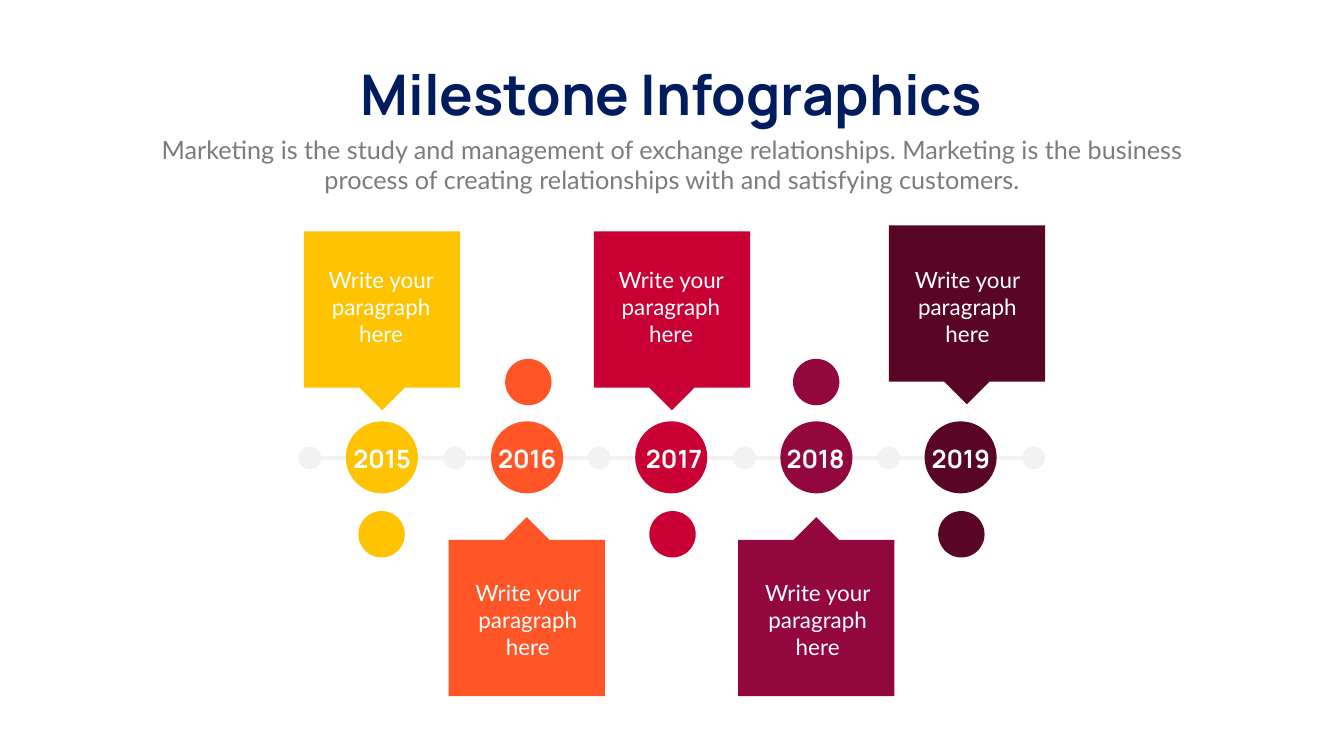
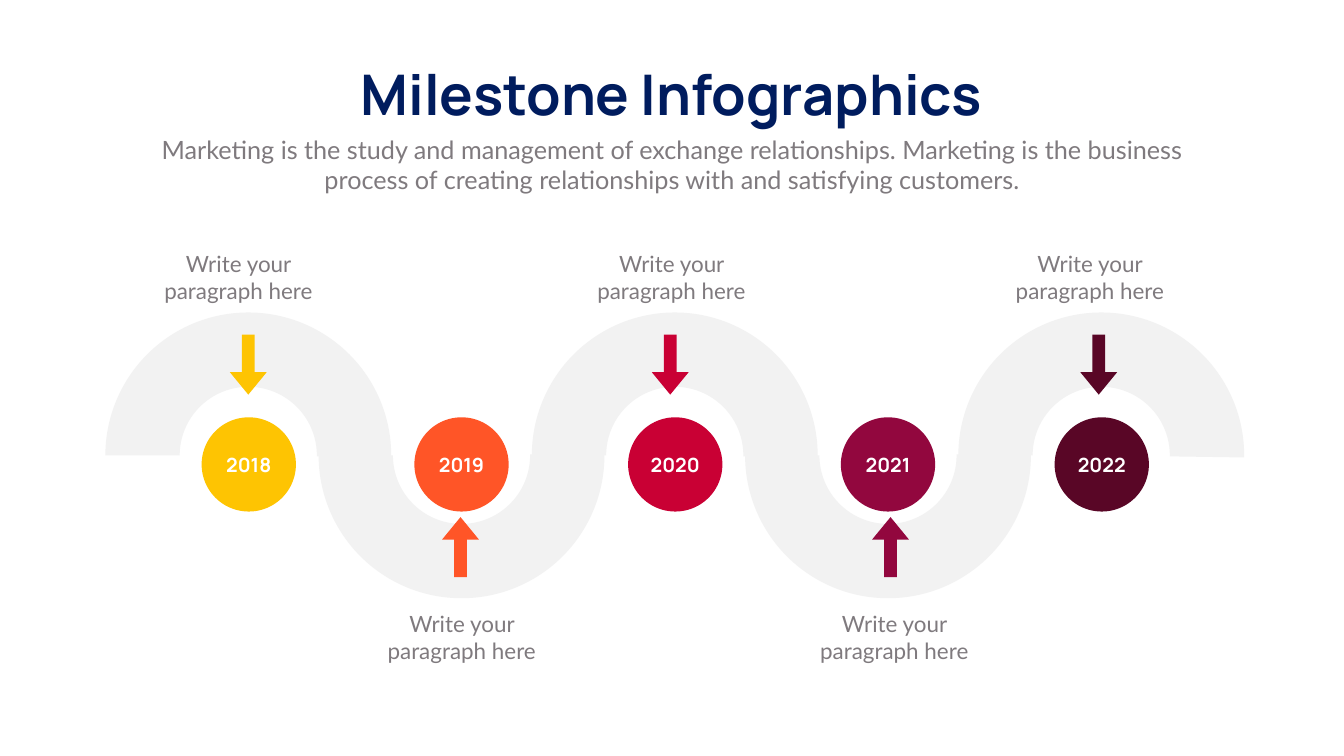
from dataclasses import dataclass

from pptx import Presentation
from pptx.dml.color import RGBColor
from pptx.enum.shapes import MSO_SHAPE
from pptx.enum.text import MSO_ANCHOR, MSO_AUTO_SIZE, PP_ALIGN
from pptx.util import Pt

PX = 9144
SLIDE_SIZE = (2666, 1500)


@dataclass(frozen=True)
class Theme:
    """Colours, fonts and type sizes shared by the slides."""
    navy: str = "001C5E"
    gray: str = "7F7A7E"
    track: str = "F2F2F2"
    white: str = "FFFFFF"
    milestones: tuple = ("FEC402", "FF5527", "C90034", "92073E", "590626")
    heading_font: str = "Manrope"
    body_font: str = "Lato"
    title_size: int = 80
    intro_size: int = 36
    year_size: int = 36
    badge_size: int = 28
    caption_size: int = 32


class Deck:
    """Holds the presentation, its style and the slide being built."""

    def __init__(self, theme):
        self.theme = theme
        self.presentation = Presentation()
        self.presentation.slide_width = SLIDE_SIZE[0] * PX
        self.presentation.slide_height = SLIDE_SIZE[1] * PX
        self.slide = None

    def new_slide(self, title, intro):
        """Add a slide with its heading and introduction."""
        theme = self.theme
        self.slide = self.presentation.slides.add_slide(self.presentation.slide_layouts[0])
        heading, summary = self.slide.placeholders
        self.place(heading, 661, 114, 1343, 145)
        self.set_text(heading, title, theme.heading_font, theme.title_size, theme.navy, bold=True, wrap=False)
        self.place(summary, 292, 261, 2082, 131)
        self.set_text(summary, intro, theme.body_font, theme.intro_size, theme.gray)

    def place(self, element, left, top, width, height):
        """Move and size an element in px."""
        element.left, element.top = left * PX, top * PX
        element.width, element.height = width * PX, height * PX

    def set_text(self, element, text, font, size, color, bold=False, wrap=True,
                 anchor=MSO_ANCHOR.TOP, fit=MSO_AUTO_SIZE.SHAPE_TO_FIT_TEXT):
        """Put one centred run of text in an element."""
        frame = element.text_frame
        frame.word_wrap = wrap
        frame.auto_size = fit
        frame.vertical_anchor = anchor
        paragraph = frame.paragraphs[0]
        paragraph.alignment = PP_ALIGN.CENTER
        paragraph.space_before = Pt(0)
        run = paragraph.add_run()
        run.text = text
        run.font.name = font
        run.font.size = Pt(size)
        run.font.bold = bold
        run.font.color.rgb = RGBColor.from_string(color)

    def paint(self, element, color):
        """Give an element a flat fill with no outline or shadow."""
        element.fill.solid()
        element.fill.fore_color.rgb = RGBColor.from_string(color)
        element.line.fill.background()
        element.shadow.inherit = False
        return element

    def preset(self, kind, left, top, width, height, color, adjustments=()):
        """Add a filled preset shape."""
        element = self.slide.shapes.add_shape(kind, left * PX, top * PX, width * PX, height * PX)
        for index, value in enumerate(adjustments):
            element.adjustments[index] = value
        return self.paint(element, color)

    def disc(self, center_x, center_y, diameter, color):
        """Add a filled circle around a centre."""
        left, top = round(center_x - diameter / 2), round(center_y - diameter / 2)
        return self.preset(MSO_SHAPE.OVAL, left, top, diameter, diameter, color)

    def badge(self, center_x, center_y, diameter, year, color):
        """Add a circle with a year inside."""
        theme = self.theme
        self.set_text(self.disc(center_x, center_y, diameter, color), year, theme.heading_font,
                      theme.badge_size, theme.white, bold=True,
                      anchor=MSO_ANCHOR.MIDDLE, fit=MSO_AUTO_SIZE.NONE)

    def callout(self, tip_x, tip_y, direction, color):
        """Add a square callout whose tip points down (1) or up (-1)."""
        half, side, notch = 155, 310, 45
        base = tip_y - direction * notch
        far = base - direction * side
        outline = self.slide.shapes.build_freeform(tip_x - half, far, scale=PX)
        outline.add_line_segments([
            (tip_x - half, base), (tip_x - notch, base), (tip_x, tip_y),
            (tip_x + notch, base), (tip_x + half, base), (tip_x + half, far)])
        self.paint(outline.convert_to_shape(), color)

    def arrow(self, left, top, points_down, color):
        """Add a short block arrow."""
        pointer = self.preset(MSO_SHAPE.UP_ARROW, left, top, 73, 119, color, (0.35, 0.61))
        pointer.rotation = 180 if points_down else 0

    def label(self, text, left, top, width, height, font, size, color, bold=False):
        """Add a wrapped, centred text box."""
        box = self.slide.shapes.add_textbox(left * PX, top * PX, width * PX, height * PX)
        self.set_text(box, text, font, size, color, bold)

    def caption(self, left, top, width, height, color):
        """Add the caption of a milestone."""
        self.label("Write your paragraph here", left, top, width, height,
                   self.theme.body_font, self.theme.caption_size, color)


def build_timeline(deck):
    """Draw five callouts along a straight track."""
    theme = deck.theme
    first_x, step, axis_y = 758, 287, 908
    tips = (758, 1045, 1333, 1619, 1918)
    satellites = (757, 1048, 1334, 1619, 1907)
    year_lefts = (653, 941, 1232, 1513, 1801)
    caption_lefts = (640, 931, 1215, 1506, 1803)

    deck.preset(MSO_SHAPE.RECTANGLE, 612, 905, 1438, 7, theme.track)
    for stop in range(6):
        deck.disc(615 + step * stop, axis_y, 45, theme.track)
    for index, color in enumerate(theme.milestones):
        above = index % 2 == 0
        tip_y = (802 if index == 4 else 814) if above else 1026
        deck.disc(first_x + step * index, axis_y, 143, color)
        deck.callout(tips[index], tip_y, 1 if above else -1, color)
        deck.disc(satellites[index], 1060 if above else 758, 92, color)
        deck.label(str(2015 + index), year_lefts[index], 874, 210, 71,
                   theme.heading_font, theme.year_size, theme.white, bold=True)
        deck.caption(caption_lefts[index], 523 if above else 1144, 232, 172, theme.white)


def build_wave(deck):
    """Draw five badges along a winding road."""
    theme = deck.theme
    step = 423
    crest, trough = (108, 0.51, 0.26), (215.49, 108, 0.26)
    caption_lefts = (297, 740, 1156, 1598, 1986)
    arrow_lefts = (456, 877, 1293, 1730, 2143)

    for index in range(len(theme.milestones)):
        deck.preset(MSO_SHAPE.BLOCK_ARC, 209 + step * index, 620, 567, 567,
                    theme.track, trough if index % 2 else crest)
    for index, color in enumerate(theme.milestones):
        above = index % 2 == 0
        deck.badge(493 + step * index, 921, 187, str(2018 + index), color)
        deck.caption(caption_lefts[index], 492 if above else 1205, 352, 118, theme.gray)
        deck.arrow(arrow_lefts[index], 664 if above else 1026, above, color)


def main():
    """Build and save both slides."""
    deck = Deck(Theme())
    for build in (build_timeline, build_wave):
        deck.new_slide(
            "Milestone Infographics",
            "Marketing is the study and management of exchange relationships. "
            "Marketing is the business process of creating relationships with "
            "and satisfying customers.")
        build(deck)
    deck.presentation.save("out.pptx")


if __name__ == "__main__":
    main()
